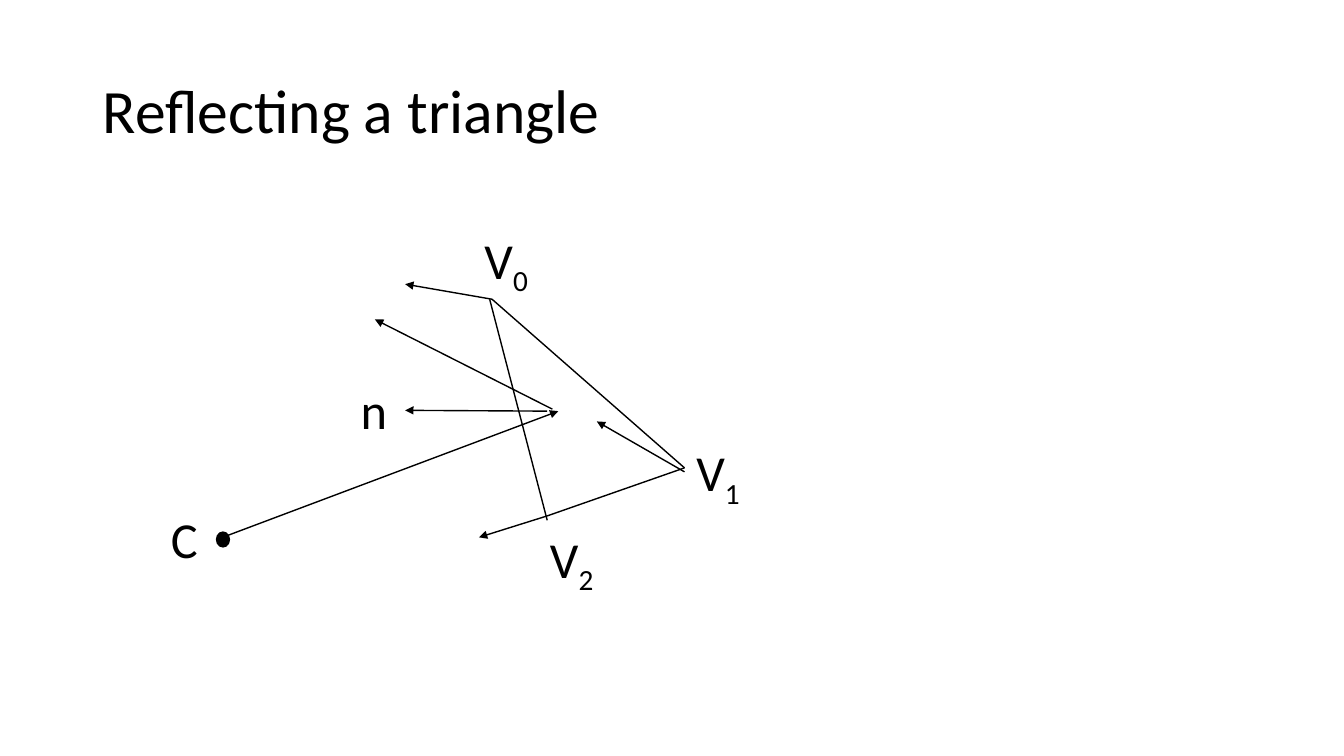
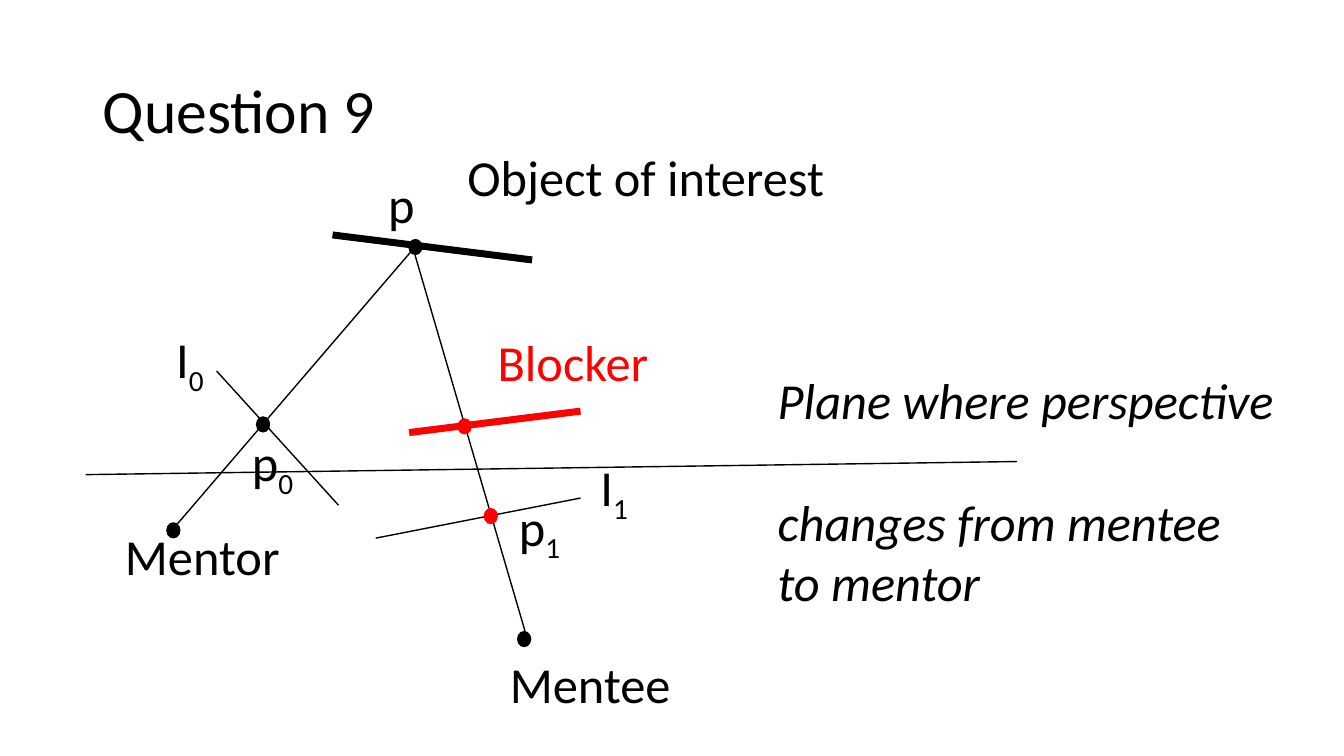
import pptx
import pptx.dml.color
import pptx.enum.shapes
import pptx.enum.text
import pptx.oxml
import pptx.oxml.ns
import pptx.util
from pptx.util import Cm

BLACK = "000000"
RED = "FF0000"
TITLE_FORMAT = {"name": "Calibri", "size": pptx.util.Pt(44)}
LABEL_FORMAT = {"name": "Calibri", "size": pptx.util.Pt(36)}
ITALIC_FORMAT = {**LABEL_FORMAT, "italic": True}
GROWING_FRAME = {
    "word_wrap": False,
    "auto_size": pptx.enum.text.MSO_AUTO_SIZE.SHAPE_TO_FIT_TEXT,
}
TITLE_FRAME = {
    "word_wrap": True,
    "vertical_anchor": pptx.enum.text.MSO_ANCHOR.MIDDLE,
}
LABEL_HEIGHT = 1.8
DOT_WIDTH, DOT_HEIGHT = 0.36, 0.41


def colour(hex_value):
    return pptx.dml.color.RGBColor.from_string(hex_value)


def apply(target, values):
    for attribute, value in values.items():
        setattr(target, attribute, value)


def add_frame(slide, left, top, width, height, frame_format):
    box = slide.shapes.add_textbox(Cm(left), Cm(top), Cm(width), Cm(height))
    apply(box.text_frame, frame_format)
    return box.text_frame


def add_words(paragraph, words, font_format, hex_value=BLACK):
    run = paragraph.add_run()
    run.text = words
    apply(run.font, font_format)
    run.font.color.rgb = colour(hex_value)
    return run


def add_title(slide, words):
    frame = add_frame(slide, 2.34, 1.02, 29.21, 3.68, TITLE_FRAME)
    paragraph = frame.paragraphs[0]
    paragraph.line_spacing = 0.9
    add_words(paragraph, words, TITLE_FORMAT)


def add_label(slide, words, left, top, width, subscript="", hex_value=BLACK):
    frame = add_frame(slide, left, top, width, LABEL_HEIGHT, GROWING_FRAME)
    paragraph = frame.paragraphs[0]
    add_words(paragraph, words, LABEL_FORMAT, hex_value)
    if subscript:
        index = add_words(paragraph, subscript, LABEL_FORMAT, hex_value)
        index.font._element.set("baseline", "-25000")


def add_line(slide, start, end, hex_value=BLACK, weight=1, arrow=False):
    line = slide.shapes.add_connector(
        pptx.enum.shapes.MSO_CONNECTOR.STRAIGHT,
        *(Cm(length) for length in (*start, *end)),
    )
    line.line.color.rgb = colour(hex_value)
    line.line.width = pptx.util.Pt(weight)
    if arrow:
        head = pptx.oxml.parse_xml(
            f'<a:tailEnd {pptx.oxml.ns.nsdecls("a")} type="triangle"/>')
        line.line._get_or_add_ln().append(head)
    no_effects = pptx.oxml.parse_xml(
        f'<a:effectLst {pptx.oxml.ns.nsdecls("a")}/>')
    line._element.spPr.append(no_effects)


def add_dot(slide, left, top, hex_value=BLACK):
    dot = slide.shapes.add_shape(
        pptx.enum.shapes.MSO_SHAPE.OVAL,
        Cm(left), Cm(top), Cm(DOT_WIDTH), Cm(DOT_HEIGHT))
    dot.shadow.inherit = False
    dot.fill.solid()
    dot.fill.fore_color.rgb = colour(hex_value)
    dot.line.fill.background()


def add_plane_note(slide):
    frame = add_frame(slide, 19.35, 9.17, 13.28, 6.4, GROWING_FRAME)
    add_words(frame.paragraphs[0], "Plane where perspective", ITALIC_FORMAT)
    continuation = frame.add_paragraph()
    continuation.space_before = pptx.util.Pt(44)
    add_words(continuation, "changes from mentee", ITALIC_FORMAT)
    add_words(frame.add_paragraph(), "to mentor", ITALIC_FORMAT)


def build_reflection(slide):
    add_title(slide, "Reflecting a triangle")
    v0, v1, v2 = (12.4, 7.54), (17.25, 11.79), (13.79, 13)
    edges = [(v0, v1), ((12.34, 7.54), (13.79, 13.11)), (v2, v1)]
    for start, end in edges:
        add_line(slide, start, end)
    rays = [
        (v0, (10.21, 7.16)),
        (v2, (12.07, 13.54)),
        ((17.25, 11.89), (15.04, 10.62)),
        ((13.79, 10.36), (10.21, 10.34)),
        ((5.61, 13.54), (14.07, 10.36)),
        ((13.92, 10.31), (9.45, 8.05)),
    ]
    for start, end in rays:
        add_line(slide, start, end, arrow=True)
    add_dot(slide, 5.44, 13.39)
    vertices = [(11.96, 5.64), (17.3, 11), (13.61, 13.18)]
    for number, (left, top) in enumerate(vertices):
        add_label(slide, "V", left, top, 1.68, str(number))
    add_label(slide, "n", 8.84, 9.42, 1.19)
    add_label(slide, "C", 4.06, 12.67, 1.19)


def build_question(slide):
    add_title(slide, "Question 9")
    mentor_sight = ((4.42, 13.26), (10.46, 6.22))
    mentee_sight = ((10.46, 6.43), (13.23, 15.9))
    mentor_image = ((5.46, 9.35), (8.53, 12.73))
    mentee_image = ((9.47, 13.56), (14.63, 12.55))
    plane = ((2.16, 11.96), (25.63, 11.63))
    for start, end in (mentor_sight, mentee_sight, mentor_image,
                       mentee_image, plane):
        add_line(slide, start, end)
    add_line(slide, (8.38, 5.92), (13.41, 6.55), weight=5)
    add_line(slide, (10.31, 10.9), (14.63, 10.36), RED, weight=5)
    dots = {
        BLACK: [(4.19, 13.16), (6.45, 10.49), (13.03, 15.9), (10.29, 6.02)],
        RED: [(12.19, 12.8), (11.53, 10.54)],
    }
    for hex_value, places in dots.items():
        for left, top in places:
            add_dot(slide, left, top, hex_value)
    labels = [
        ("Mentor", 2.9, 13.11, 4.45),
        ("Mentee", 12.6, 16.33, 4.6),
        ("Object of interest", 11.53, 3.56, 9.58),
        ("Blocker", 12.29, 8.23, 4.34, "", RED),
        ("p", 9.53, 4.24, 1.19),
        ("p", 6.1, 10.74, 1.63, "0"),
        ("p", 12.83, 12.37, 1.63, "1"),
        ("I", 4.19, 8.15, 1.27, "0"),
        ("I", 14.88, 11.38, 1.27, "1"),
    ]
    for label in labels:
        add_label(slide, *label)
    add_plane_note(slide)


def main():
    deck = pptx.Presentation()
    apply(deck, {"slide_width": Cm(33.87), "slide_height": Cm(19.05)})
    blank = deck.slide_layouts[6]
    for build in (build_reflection, build_question):
        build(deck.slides.add_slide(blank))
    deck.save("out.pptx")


main()
